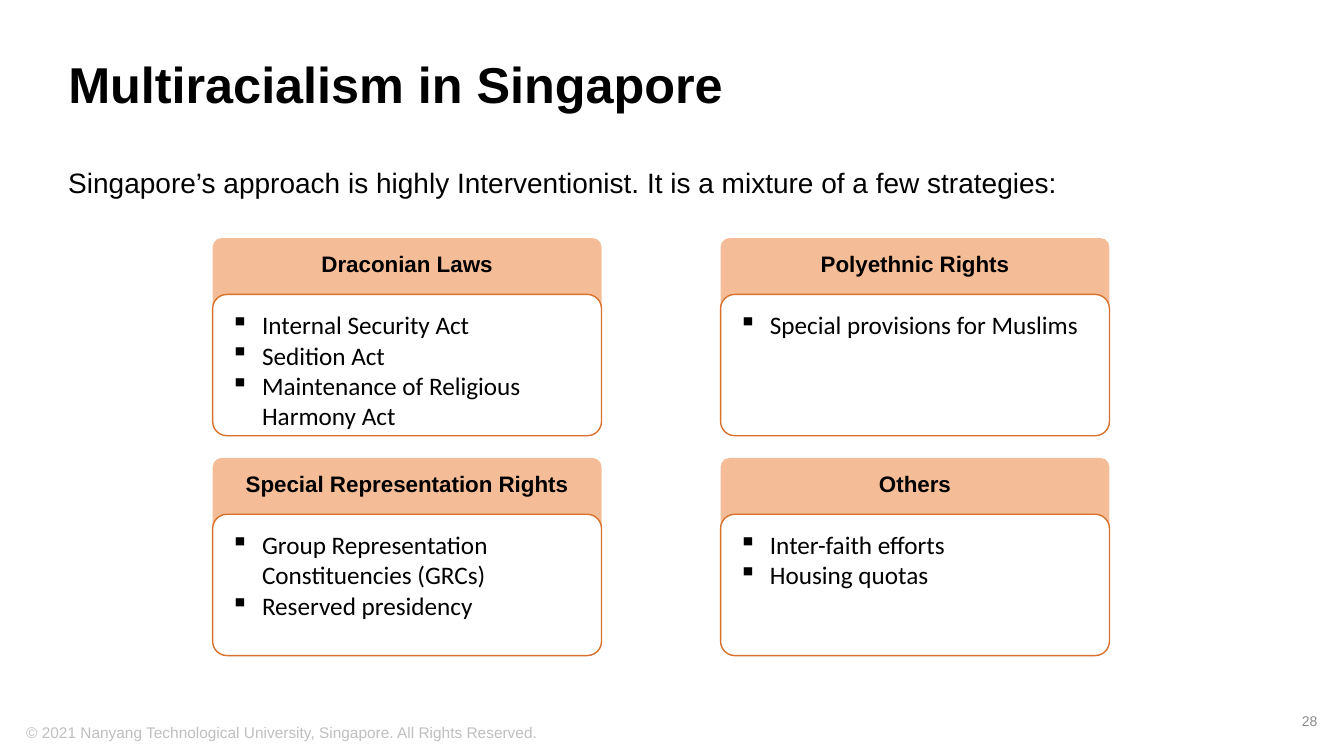
from lxml import etree
from pptx import Presentation
from pptx.dml.color import RGBColor
from pptx.enum.shapes import MSO_SHAPE
from pptx.enum.text import MSO_ANCHOR, PP_ALIGN
from pptx.oxml.ns import qn
from pptx.util import Cm, Pt

LEFT, CENTER, RIGHT = PP_ALIGN.LEFT, PP_ALIGN.CENTER, PP_ALIGN.RIGHT
TOP, MIDDLE = MSO_ANCHOR.TOP, MSO_ANCHOR.MIDDLE
ROUNDED = MSO_SHAPE.ROUNDED_RECTANGLE

# Content
TITLE = "Multiracialism in Singapore"
INTRO = "Singapore’s approach is highly Interventionist. It is a mixture of a few strategies:"
COPYRIGHT = "© 2021 Nanyang Technological University, Singapore. All Rights Reserved."
PAGE_NUMBER = "28"
STRATEGIES = [
    ("Draconian Laws",
     ["Internal Security Act", "Sedition Act", "Maintenance of Religious Harmony Act"]),
    ("Polyethnic Rights", ["Special provisions for Muslims"]),
    ("Special Representation Rights",
     ["Group Representation Constituencies (GRCs)", "Reserved presidency"]),
    ("Others", ["Inter-faith efforts", "Housing quotas"]),
]
COLORS = {"text": "000000", "header": "ED7D31", "outline": "D7712C",
          "panel": "FFFFFF", "copyright": "BFBFBF", "number": "8C8C8C"}

# Grid, in centimetres
COLUMNS = 2
GRID_LEFT, GRID_TOP = 5.36, 6.0
COLUMN_STEP, ROW_STEP = 12.8, 5.54
CARD_WIDTH, HEADER_HEIGHT = 9.8, 2.26
PANEL_OFFSET, PANEL_HEIGHT = 1.42, 3.56
BULLET_INDENT = 0.79


def color(name):
    return RGBColor.from_string(COLORS[name])


def write(shape, lines, size, font="Arial", ink="text", bold=False,
          align=LEFT, anchor=TOP, insets=(0.25, 0.13), bullet=None):
    frame = shape.text_frame
    frame.word_wrap = True
    frame.vertical_anchor = anchor
    frame.margin_left = frame.margin_right = Cm(insets[0])
    frame.margin_top = frame.margin_bottom = Cm(insets[1])
    for index, line in enumerate(lines):
        paragraph = frame.paragraphs[0] if index == 0 else frame.add_paragraph()
        paragraph.text = line
        paragraph.alignment = align
        if bullet:
            properties = paragraph._p.get_or_add_pPr()
            properties.set("marL", str(Cm(BULLET_INDENT)))
            properties.set("indent", str(-Cm(BULLET_INDENT)))
            etree.SubElement(properties, qn("a:buChar")).set("char", bullet)
        paragraph.font.name = font
        paragraph.font.size = Pt(size)
        paragraph.font.bold = bold
        paragraph.font.color.rgb = color(ink)


def add_text(slide, box, line, size, **style):
    shape = slide.shapes.add_textbox(*map(Cm, box))
    write(shape, [line], size, **style)


def add_rounded(slide, box, fill):
    shape = slide.shapes.add_shape(ROUNDED, *map(Cm, box))
    shape.adjustments[0] = 0.1
    shape.shadow.inherit = False
    shape.fill.solid()
    shape.fill.fore_color.rgb = color(fill)
    return shape


def add_card(slide, left, top, heading, items):
    header = add_rounded(slide, (left, top, CARD_WIDTH, HEADER_HEIGHT), "header")
    fill_color = header.fill._xPr.find(qn("a:solidFill"))[0]
    etree.SubElement(fill_color, qn("a:alpha")).set("val", "50000")
    header.line.fill.background()
    write(header, [heading], 16, bold=True, align=CENTER, insets=(0.25, 0.23))

    panel = add_rounded(
        slide, (left, top + PANEL_OFFSET, CARD_WIDTH, PANEL_HEIGHT), "panel")
    panel.line.color.rgb = color("outline")
    panel.line.width = Pt(1)
    write(panel, items, 18, font="Calibri", insets=(0.35, 0.28), bullet="▪")


def main():
    presentation = Presentation()
    presentation.slide_width, presentation.slide_height = Cm(33.87), Cm(19.05)
    slide = presentation.slides.add_slide(presentation.slide_layouts[5])

    # Title and introduction
    title = slide.shapes.title
    title.left, title.top, title.width, title.height = map(Cm, (1.47, 1.02, 29.21, 2.34))
    write(title, [TITLE], 36, bold=True, anchor=MIDDLE)
    title.text_frame.paragraphs[0].line_spacing = 0.9
    add_text(slide, (1.47, 4.04, 29.21, 1.2), INTRO, 20)

    # Strategy cards
    for index, (heading, items) in enumerate(STRATEGIES):
        row, column = divmod(index, COLUMNS)
        add_card(slide, GRID_LEFT + column * COLUMN_STEP,
                 GRID_TOP + row * ROW_STEP, heading, items)

    # Footer
    add_text(slide, (0.41, 18.08, 20.32, 0.58), COPYRIGHT, 11, ink="copyright")
    add_text(slide, (25.83, 17.65, 7.62, 1.02), PAGE_NUMBER, 10, ink="number",
             align=RIGHT, anchor=MIDDLE)

    presentation.save("out.pptx")


if __name__ == "__main__":
    main()
